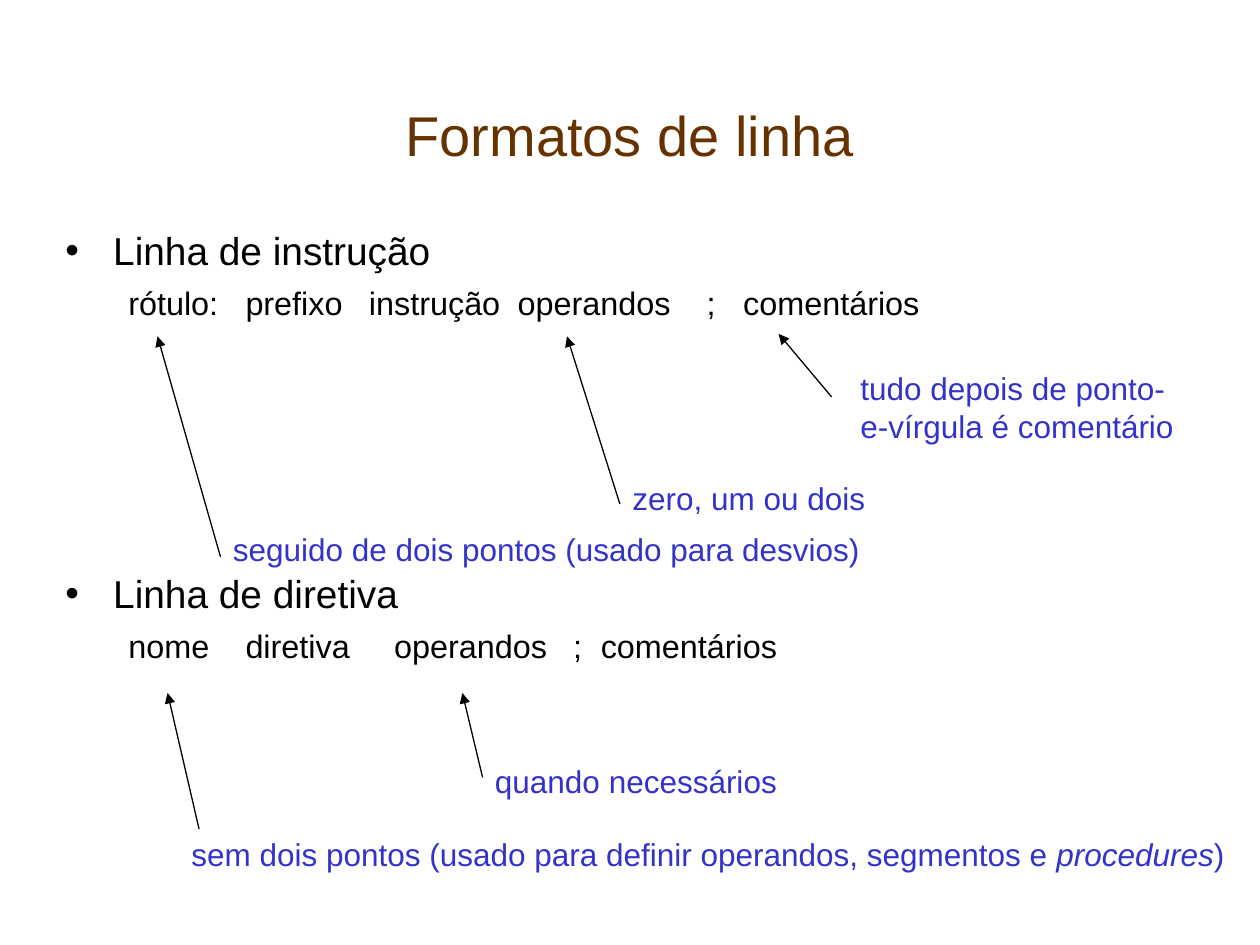
from dataclasses import dataclass

from lxml.etree import SubElement
from pptx import Presentation
from pptx.dml.color import RGBColor
from pptx.enum.shapes import MSO_CONNECTOR
from pptx.enum.text import MSO_ANCHOR, MSO_AUTO_SIZE, PP_ALIGN
from pptx.oxml.ns import qn
from pptx.slide import Slide
from pptx.text.text import TextFrame, _Paragraph
from pptx.util import Inches, Pt

BROWN = RGBColor(0x66, 0x33, 0x00)
BLUE = RGBColor(0x33, 0x33, 0xCC)
BLACK = RGBColor(0, 0, 0)
FONT = "Arial"


@dataclass(frozen=True)
class Section:
    heading: str
    fields: tuple[str, ...]
    stops: tuple[float, ...]
    space_before: float


@dataclass(frozen=True)
class Note:
    left: float
    top: float
    width: float
    spans: tuple[str, ...]
    height: float = 0.4
    wrap: bool = False
    italic_span: int = -1


@dataclass(frozen=True)
class Arrow:
    tip: tuple[float, float]
    origin: tuple[float, float]


SECTIONS = (
    Section(
        "Linha de instrução",
        ("rótulo:", "prefixo", "instrução", "operandos", ";", "comentários"),
        (0.5, 1.43, 2.41, 3.59, 5.09, 5.38),
        0,
    ),
    Section(
        "Linha de diretiva",
        ("nome", "diretiva", "operandos", ";", "comentários"),
        (0.5, 1.43, 2.61, 4.03, 4.25),
        142,
    ),
)

NOTES = (
    Note(1.75, 4.16, 5.3, ("seguido de dois pontos (usado para desvios)",)),
    Note(4.92, 3.75, 2.05, ("zero, um ou dois",)),
    Note(6.73, 2.88, 2.7, ("tudo depois de ponto-e-vírgula é comentário",), 0.7, True),
    Note(
        1.42, 6.58, 8.4,
        ("sem dois pontos (usado para definir operandos, segmentos e ", "procedures", ")"),
        italic_span=1,
    ),
    Note(3.83, 6, 2.44, ("quando necessários",)),
)

ARROWS = (
    Arrow((1.25, 2.67), (1.75, 4.42)),
    Arrow((4.5, 2.67), (4.92, 4)),
    Arrow((6.18, 2.65), (6.6, 3.15)),
    Arrow((1.33, 5.5), (1.58, 6.58)),
    Arrow((3.67, 5.5), (3.83, 6.17)),
)


def add_box(page: Slide, left: float, top: float, width: float, height: float,
            wrap: bool = True) -> TextFrame:
    """Add a text box and return its frame."""
    box = page.shapes.add_textbox(Inches(left), Inches(top), Inches(width), Inches(height))
    box.text_frame.word_wrap = wrap
    return box.text_frame


def add_span(para: _Paragraph, text: str, size: float, color: RGBColor,
             italic: bool = False) -> None:
    """Append one formatted run to a paragraph."""
    span = para.add_run()
    span.text = text
    span.font.name = FONT
    span.font.size = Pt(size)
    span.font.color.rgb = color
    span.font.italic = italic


def add_bullet(para: _Paragraph) -> None:
    """Give a paragraph a hanging round bullet."""
    properties = para._p.get_or_add_pPr()
    properties.set("marL", str(Inches(0.38)))
    properties.set("indent", str(-Inches(0.38)))
    SubElement(properties, qn("a:buFont"), typeface=FONT)
    SubElement(properties, qn("a:buChar"), char="•")


def add_tab_stops(para: _Paragraph, stops: tuple[float, ...]) -> None:
    """Set left tab stops, in inches from the text edge."""
    tabs = SubElement(para._p.get_or_add_pPr(), qn("a:tabLst"))
    for stop in stops:
        SubElement(tabs, qn("a:tab"), pos=str(Inches(stop)), algn="l")


def add_title(page: Slide, text: str) -> None:
    """Add the centred slide title."""
    frame = add_box(page, 0.75, 0.44, 8.5, 1.25)
    frame.vertical_anchor = MSO_ANCHOR.MIDDLE
    para = frame.paragraphs[0]
    para.alignment = PP_ALIGN.CENTER
    add_span(para, text, 32, BROWN)


def add_sections(page: Slide, sections: tuple[Section, ...]) -> None:
    """Add the bulleted headings with their line formats."""
    frame = add_box(page, 0.42, 1.75, 9.58, 3.67)
    for index, section in enumerate(sections):
        heading = frame.add_paragraph() if index else frame.paragraphs[0]
        heading.space_before = Pt(section.space_before)
        add_bullet(heading)
        add_span(heading, section.heading, 22.2, BLACK)
        layout = frame.add_paragraph()
        layout.space_before = Pt(5.4)
        add_tab_stops(layout, section.stops)
        for field in section.fields:
            add_span(layout, f"\t{field}", 18.5, BLACK)


def add_note(page: Slide, note: Note) -> None:
    """Add one blue explanatory note."""
    frame = add_box(page, note.left, note.top, note.width, note.height, note.wrap)
    frame.auto_size = MSO_AUTO_SIZE.SHAPE_TO_FIT_TEXT
    for index, text in enumerate(note.spans):
        add_span(frame.paragraphs[0], text, 18, BLUE, index == note.italic_span)


def add_arrow(page: Slide, arrow: Arrow) -> None:
    """Add a thin line with a triangle at its tip."""
    ends = [Inches(value) for value in (*arrow.tip, *arrow.origin)]
    connector = page.shapes.add_connector(MSO_CONNECTOR.STRAIGHT, *ends)
    connector.line.color.rgb = BLACK
    connector.line.width = Pt(0.75)
    SubElement(connector.line._get_or_add_ln(), qn("a:headEnd"), type="triangle")
    SubElement(connector._element.spPr, qn("a:effectLst"))


def main() -> None:
    """Build and save the slide."""
    deck = Presentation()
    deck.slide_width, deck.slide_height = Inches(10), Inches(7.5)
    page = deck.slides.add_slide(deck.slide_layouts[6])
    add_title(page, "Formatos de linha")
    add_sections(page, SECTIONS)
    for arrow in ARROWS:
        add_arrow(page, arrow)
    for note in NOTES:
        add_note(page, note)
    deck.save("out.pptx")


if __name__ == "__main__":
    main()
